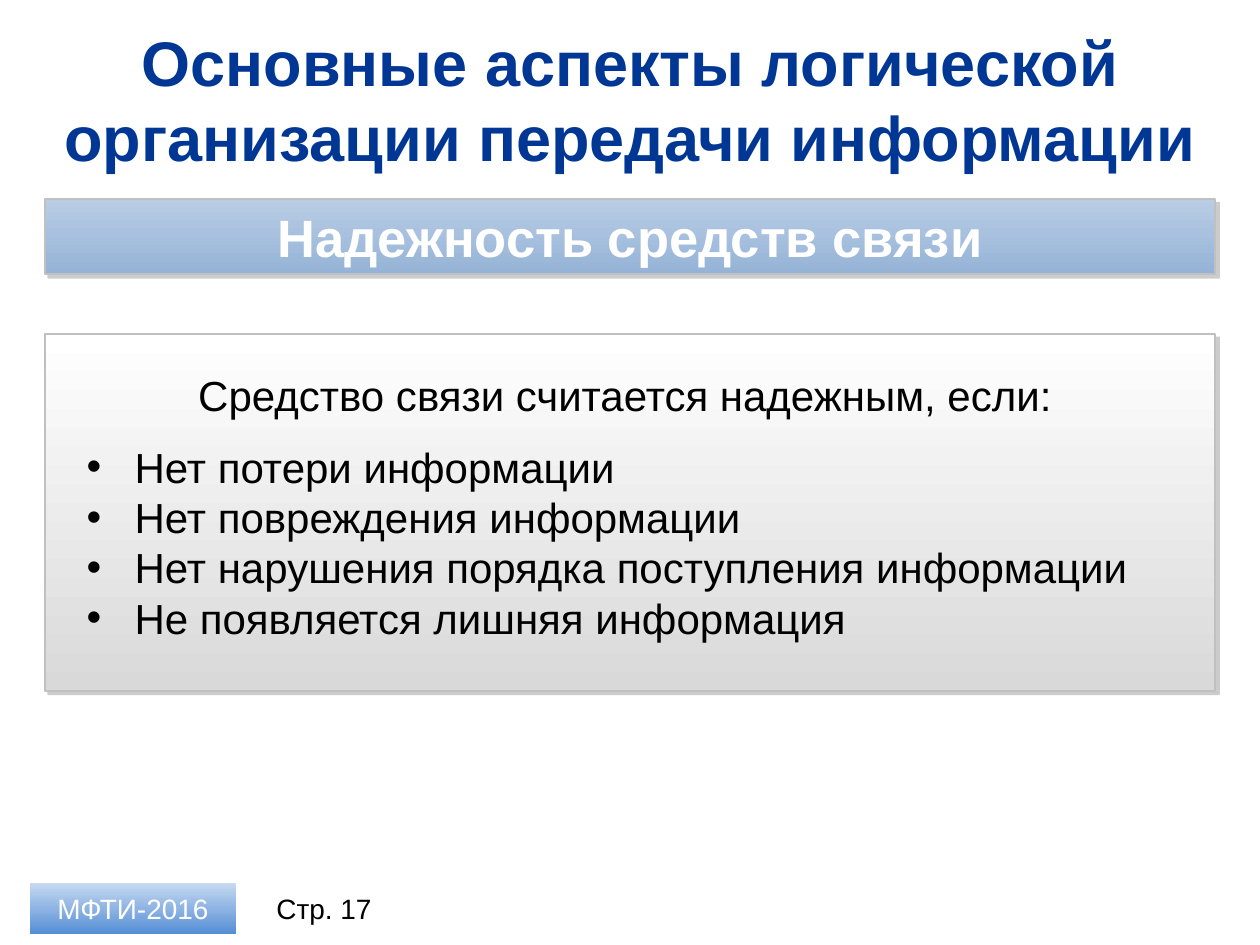
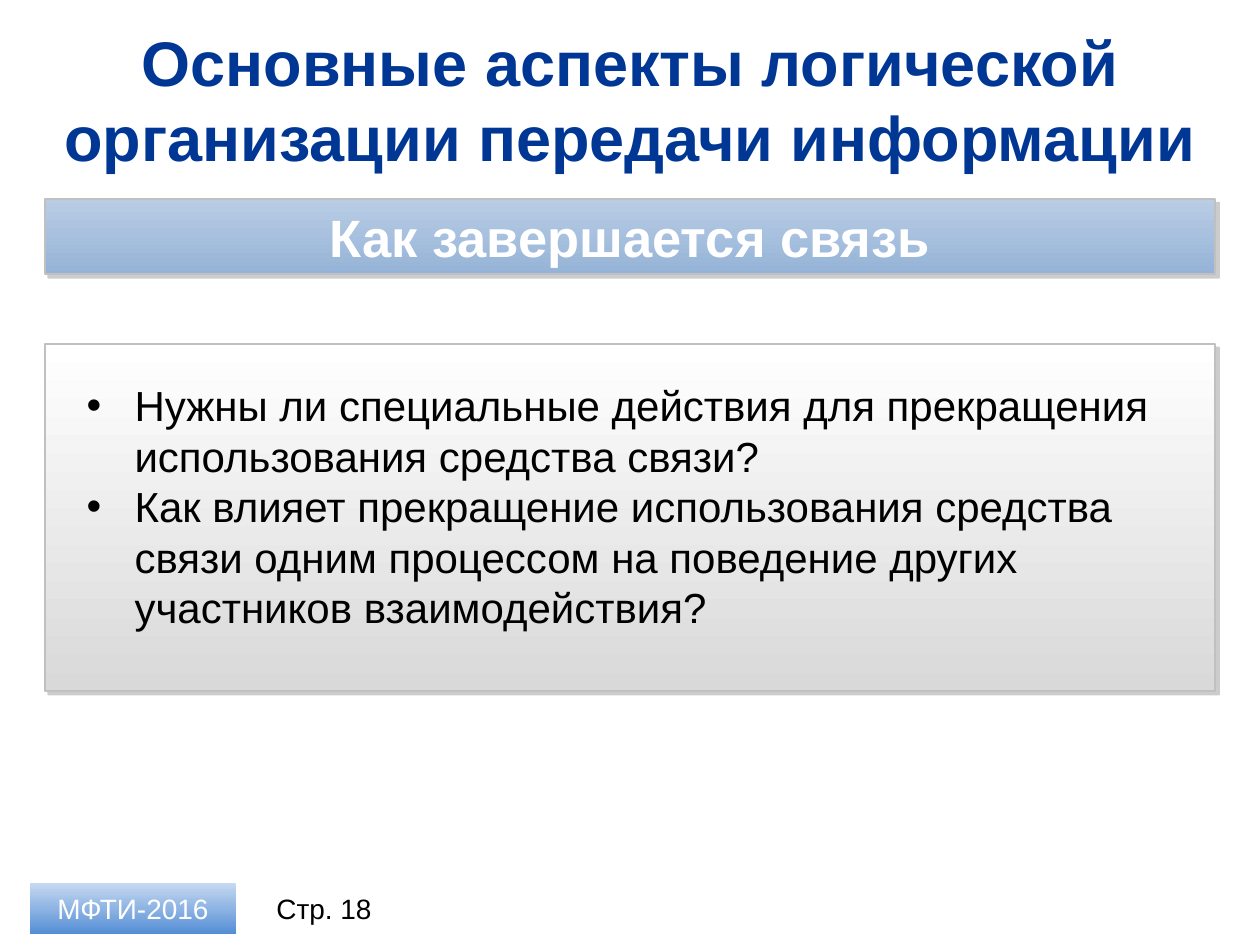
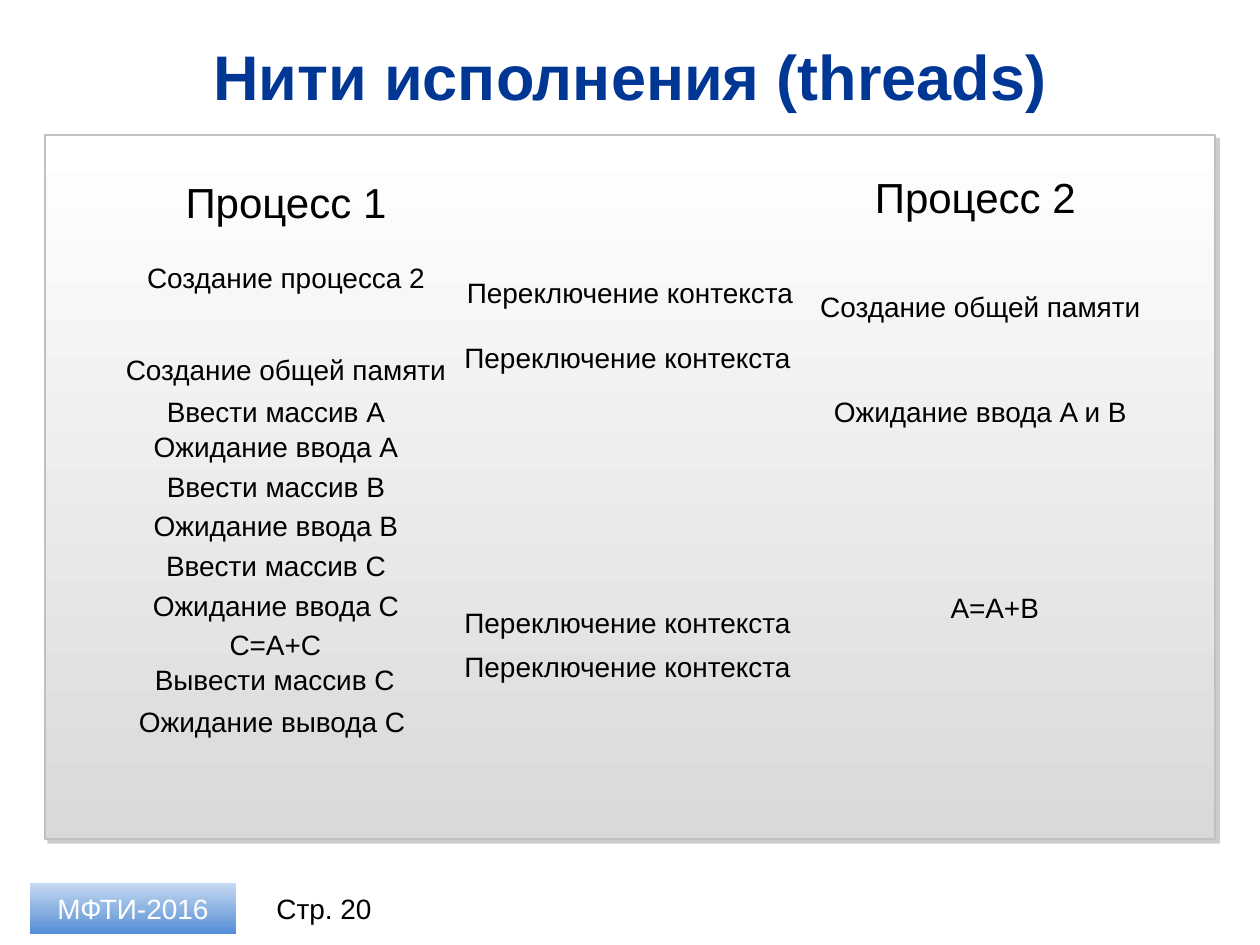
from lxml import etree
from pptx import Presentation
from pptx.dml.color import RGBColor
from pptx.enum.shapes import MSO_SHAPE
from pptx.enum.text import MSO_ANCHOR, MSO_AUTO_SIZE, PP_ALIGN
from pptx.oxml import parse_xml
from pptx.oxml.ns import nsdecls, qn
from pptx.util import Pt

RECTANGLE = MSO_SHAPE.RECTANGLE
TOP, MIDDLE = MSO_ANCHOR.TOP, MSO_ANCHOR.MIDDLE
LEFT, CENTER = PP_ALIGN.LEFT, PP_ALIGN.CENTER
GROW, FIXED = MSO_AUTO_SIZE.SHAPE_TO_FIT_TEXT, MSO_AUTO_SIZE.NONE

FONT = "Arial"
NAVY, BLACK, WHITE, SILVER, GRAY = "003794", "000000", "FFFFFF", "C0C0C0", "808080"
BAND_COLORS = ["B9CDE5", "95B3D7"]
PANEL_COLORS = ["FFFFFF", "D9D9D9"]
FOOTER_COLORS = ["C6D9F1", "8EB4E3", "558ED5"]

SLIDE_WIDTH, SLIDE_HEIGHT = 720, 540
CONTENT_WIDTH = 669
CONTENT_LEFT = (SLIDE_WIDTH - CONTENT_WIDTH) / 2
TITLE_TOP = 18.7
BAND_TOP, BAND_HEIGHT = 113.7, 43
FOOTER_TOP, FOOTER_HEIGHT = 504.7, 28.8
PANEL_PADDING = 17
BULLET_INDENT = 27.36
LABEL_WIDTH = 207.4
LABEL_HEIGHTS = {16: 26.6, 24: 36}

FOOTER = "МФТИ-2016"
LOGIC_TITLE = "Основные аспекты логической организации передачи информации"

TOPIC_SLIDES = [
    {
        "page": 17,
        "band": "Надежность средств связи",
        "lead": "Средство связи считается надежным, если:",
        "bullets": [
            "Нет потери информации",
            "Нет повреждения информации",
            "Нет нарушения порядка поступления информации",
            "Не появляется лишняя информация",
        ],
        "panel": (190.7, 204),
        "text_height": 165,
    },
    {
        "page": 18,
        "band": "Как завершается связь",
        "lead": None,
        "bullets": [
            "Нужны ли специальные действия для прекращения использования средства связи?",
            "Как влияет прекращение использования средства связи одним процессом "
            "на поведение других участников взаимодействия?",
        ],
        "panel": (196.5, 198.3),
        "text_height": 152.6,
    },
]

THREADS_TITLE = "Нити исполнения (threads)"
THREADS_PAGE = 20
THREADS_PANEL = (77, 402.5)

# Each label: text, centre x, top, size
THREAD_LABELS = [
    ("Процесс 1", 163.4, 97.2, 24),
    ("Создание процесса 2", 163.4, 145.4, 16),
    ("Создание общей памяти", 163.4, 198, 16),
    ("Ввести массив A", 157.7, 221.8, 16),
    ("Ожидание ввода A", 157.7, 241.9, 16),
    ("Ввести массив B", 157.7, 264.5, 16),
    ("Ожидание ввода B", 157.7, 287.3, 16),
    ("Ввести массив C", 157.7, 309.8, 16),
    ("Ожидание ввода C", 157.7, 332.5, 16),
    ("C=A+C", 157.3, 355, 16),
    ("Вывести массив C", 157, 375.1, 16),
    ("Ожидание вывода C", 155.5, 398.9, 16),
    ("Переключение контекста", 360, 154.1, 16),
    ("Переключение контекста", 358.6, 190.8, 16),
    ("Переключение контекста", 358.6, 342.7, 16),
    ("Переключение контекста", 358.6, 367.9, 16),
    ("Процесс 2", 557.3, 94.3, 24),
    ("Создание общей памяти", 560.2, 162, 16),
    ("Ожидание ввода A и B", 560.2, 221.8, 16),
    ("A=A+B", 568.4, 334.1, 16),
]


def rgb(color):
    return RGBColor.from_string(color)


def add_bullet(paragraph):
    properties = paragraph._p.get_or_add_pPr()
    properties.set("marL", str(Pt(BULLET_INDENT)))
    properties.set("indent", str(-Pt(BULLET_INDENT)))
    etree.SubElement(properties, qn("a:buFont")).set("typeface", FONT)
    etree.SubElement(properties, qn("a:buChar")).set("char", "•")


def write_text(shape, lines, size=16, color=BLACK, bold=False, align=CENTER,
               anchor=MIDDLE, bulleted=False, lead=None, auto_size=FIXED, inset=(7.2, 3.6)):
    """Fill a shape with paragraphs; lead is a centred line above the others."""
    frame = shape.text_frame
    frame.word_wrap = True
    frame.auto_size = auto_size
    frame.vertical_anchor = anchor
    frame.margin_left = frame.margin_right = Pt(inset[0])
    frame.margin_top = frame.margin_bottom = Pt(inset[1])
    texts = [lead] + lines if lead else lines
    for index, text in enumerate(texts):
        paragraph = frame.paragraphs[0] if index == 0 else frame.add_paragraph()
        is_lead = bool(lead) and index == 0
        if bulleted and not is_lead:
            add_bullet(paragraph)
        paragraph.alignment = CENTER if is_lead else align
        if is_lead:
            paragraph.space_after = Pt(12)
        run = paragraph.add_run()
        run.text = text
        run.font.name = FONT
        run.font.size = Pt(size)
        run.font.bold = bold
        run.font.color.rgb = rgb(color)


def add_text(slide, lines, left, top, width, height, **text_format):
    box = slide.shapes.add_textbox(Pt(left), Pt(top), Pt(width), Pt(height))
    write_text(box, lines, **text_format)


def fill_gradient(shape, colors):
    """Fill from top to bottom with evenly spaced colours."""
    step = 100000 // (len(colors) - 1)
    stops = "".join(
        f'<a:gs pos="{index * step}"><a:srgbClr val="{color}"/></a:gs>'
        for index, color in enumerate(colors))
    gradient = parse_xml(
        f'<a:gradFill {nsdecls("a")} rotWithShape="1"><a:gsLst>{stops}</a:gsLst>'
        '<a:lin ang="5400000" scaled="0"/></a:gradFill>')
    shape._element.spPr.find(qn("a:prstGeom")).addnext(gradient)


def add_shadow(shape):
    effects = shape._element.spPr.find(qn("a:effectLst"))
    effects.append(parse_xml(
        f'<a:outerShdw {nsdecls("a")} dist="{Pt(3)}" dir="2700000" algn="ctr" rotWithShape="0">'
        f'<a:srgbClr val="{GRAY}"><a:alpha val="40000"/></a:srgbClr></a:outerShdw>'))


def add_box(slide, left, top, width, height, colors, raised=True):
    """Draw a gradient rectangle; a raised one has an outline and a shadow."""
    shape = slide.shapes.add_shape(RECTANGLE, Pt(left), Pt(top), Pt(width), Pt(height))
    shape.shadow.inherit = False
    fill_gradient(shape, colors)
    if raised:
        shape.line.color.rgb = rgb(SILVER)
        shape.line.width = Pt(1)
        add_shadow(shape)
    else:
        shape.line.fill.background()
    return shape


def add_base_slide(presentation, title, title_height, page):
    slide = presentation.slides.add_slide(presentation.slide_layouts[6])
    add_text(slide, [title], CONTENT_LEFT, TITLE_TOP, CONTENT_WIDTH, title_height,
             size=36, color=NAVY, bold=True)
    add_text(slide, [f"Стр. {page}"], 146.2, FOOTER_TOP, 77.8, FOOTER_HEIGHT)
    footer = add_box(slide, 17.3, FOOTER_TOP, 117.4, FOOTER_HEIGHT, FOOTER_COLORS, raised=False)
    write_text(footer, [FOOTER], color=WHITE)
    return slide


def add_topic_slide(presentation, topic):
    slide = add_base_slide(presentation, LOGIC_TITLE, 75.6, topic["page"])
    band = add_box(slide, CONTENT_LEFT, BAND_TOP, CONTENT_WIDTH, BAND_HEIGHT, BAND_COLORS)
    write_text(band, [topic["band"]], size=30, color=WHITE, bold=True, inset=(17.3, 2.9))
    panel_top, panel_height = topic["panel"]
    add_box(slide, CONTENT_LEFT, panel_top, CONTENT_WIDTH, panel_height, PANEL_COLORS)
    add_text(slide, topic["bullets"], CONTENT_LEFT + PANEL_PADDING, panel_top + PANEL_PADDING,
             629.3, topic["text_height"], size=24, align=LEFT, anchor=TOP,
             bulleted=True, lead=topic["lead"], auto_size=GROW)


def add_threads_slide(presentation):
    slide = add_base_slide(presentation, THREADS_TITLE, 49, THREADS_PAGE)
    panel_top, panel_height = THREADS_PANEL
    add_box(slide, CONTENT_LEFT, panel_top, CONTENT_WIDTH, panel_height, PANEL_COLORS)
    for text, center, top, size in THREAD_LABELS:
        add_text(slide, [text], center - LABEL_WIDTH / 2, top, LABEL_WIDTH,
                 LABEL_HEIGHTS[size], size=size, anchor=TOP, auto_size=GROW)


def main():
    presentation = Presentation()
    presentation.slide_width = Pt(SLIDE_WIDTH)
    presentation.slide_height = Pt(SLIDE_HEIGHT)
    for topic in TOPIC_SLIDES:
        add_topic_slide(presentation, topic)
    add_threads_slide(presentation)
    presentation.save("out.pptx")


if __name__ == "__main__":
    main()
